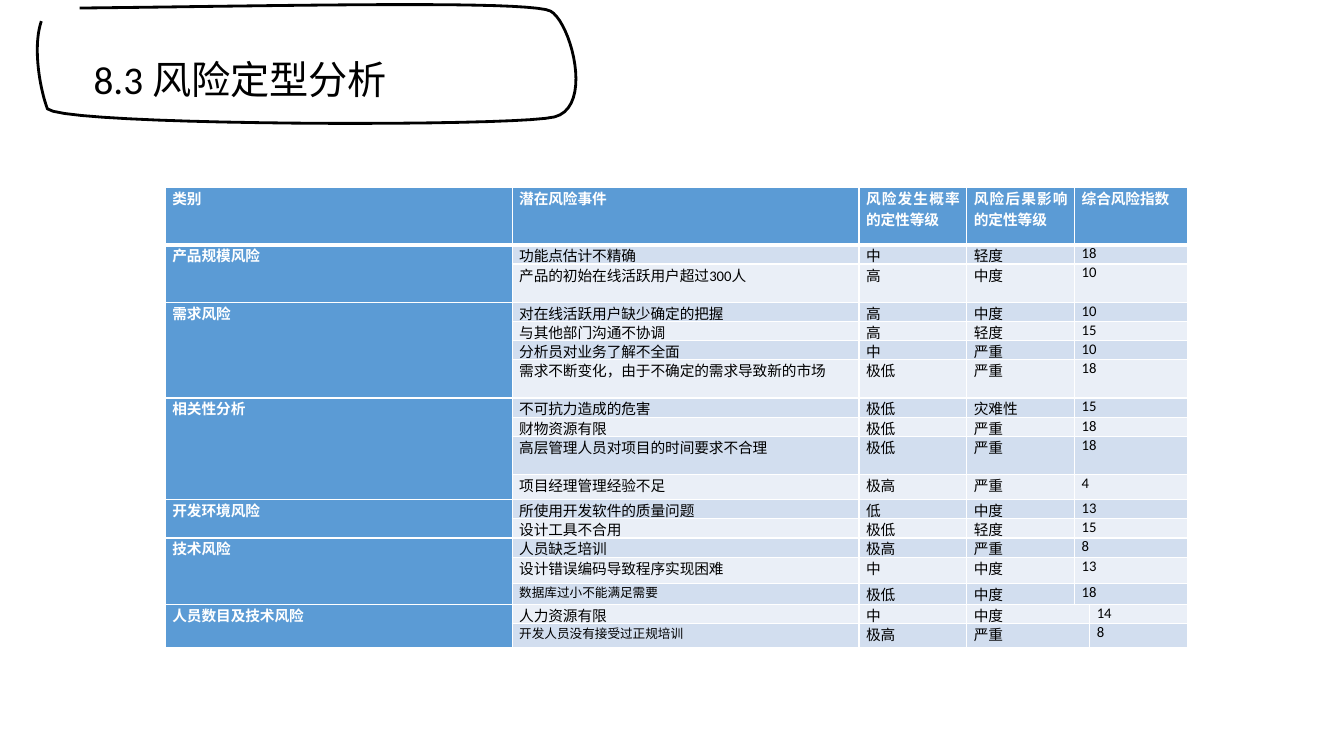
from lxml import etree
from pptx import Presentation
from pptx.dml.color import RGBColor
from pptx.enum.text import PP_ALIGN
from pptx.oxml.ns import qn
from pptx.util import Inches, Pt

JUSTIFY = PP_ALIGN.JUSTIFY
FONT = "Calibri"
COLORS = {
    "white": "FFFFFF",
    "black": "000000",
    "header": "5B9BD5",
    "odd_row": "D2DEEF",
    "even_row": "EAEFF7",
}
CURVE_STEPS = 20
FRAME_START = (0.79, 0.08)
FRAME_CURVES = [
    ((2.69, 0.06), (5.25, 0), (5.46, 0.11)),
    ((5.66, 0.22), (5.89, 1.06), (5.5, 1.16)),
    ((5.1, 1.26), (0.64, 1.25), (0.47, 1.08)),
    ((0.38, 0.83), (0.33, 0.44), (0.41, 0.21)),
]
COLUMN_WIDTHS = [3.44, 3.44, 1.07, 1.07, 0.15, 0.97]
ROW_HEIGHTS = [0.57, 0.19, 0.38, 0.19, 0.19, 0.19, 0.38, 0.19, 0.19,
               0.38, 0.25, 0.19, 0.19, 0.19, 0.26, 0.21, 0.19, 0.24]
HEADINGS = ["类别", "潜在风险事件", "风险发生概率的定性等级",
            "风险后果影响的定性等级", "综合风险指数"]
BODY_SIZE = 10.5
SMALL_SIZE = 9
SMALL_EVENTS = {"数据库过小不能满足需要", "开发人员没有接受过正规培训"}
STAFF_CATEGORY = "人员数目及技术风险"
RISKS = {
    "产品规模风险": [
        ("功能点估计不精确", "中", "轻度", "18"),
        ("产品的初始在线活跃用户超过300人", "高", "中度", "10"),
    ],
    "需求风险": [
        ("对在线活跃用户缺少确定的把握", "高", "中度", "10"),
        ("与其他部门沟通不协调", "高", "轻度", "15"),
        ("分析员对业务了解不全面", "中", "严重", "10"),
        ("需求不断变化，由于不确定的需求导致新的市场", "极低", "严重", "18"),
    ],
    "相关性分析": [
        ("不可抗力造成的危害", "极低", "灾难性", "15"),
        ("财物资源有限", "极低", "严重", "18"),
        ("高层管理人员对项目的时间要求不合理", "极低", "严重", "18"),
        ("项目经理管理经验不足", "极高", "严重", "4"),
    ],
    "开发环境风险": [
        ("所使用开发软件的质量问题", "低", "中度", "13"),
        ("设计工具不合用", "极低", "轻度", "15"),
    ],
    "技术风险": [
        ("人员缺乏培训", "极高", "严重", "8"),
        ("设计错误编码导致程序实现困难", "中", "中度", "13"),
        ("数据库过小不能满足需要", "极低", "中度", "18"),
    ],
    STAFF_CATEGORY: [
        ("人力资源有限", "中", "中度", "14"),
        ("开发人员没有接受过正规培训", "极高", "严重", "8"),
    ],
}


def color(name):
    return RGBColor.from_string(COLORS[name])


def add_span(para, text, size, color_name, bold=False):
    span = para.add_run()
    span.text = text
    span.font.name = FONT
    span.font.size = Pt(size)
    span.font.bold = bold
    span.font.color.rgb = color(color_name)


def curve_points(start, curves):
    """Return points along a chain of cubic Bezier curves."""
    points = []
    for first, second, end in curves:
        for step in range(1, CURVE_STEPS + 1):
            t = step / CURVE_STEPS
            u = 1 - t
            points.append(tuple(
                Inches(u**3 * a + 3 * u * u * t * b + 3 * u * t * t * c + t**3 * d)
                for a, b, c, d in zip(start, first, second, end)))
        start = end
    return points


def add_title_frame(slide):
    left, top = FRAME_START
    builder = slide.shapes.build_freeform(Inches(left), Inches(top))
    builder.add_line_segments(curve_points(FRAME_START, FRAME_CURVES), close=False)
    frame = builder.convert_to_shape()
    frame.shadow.inherit = False
    frame.fill.solid()
    frame.fill.fore_color.rgb = color("white")
    frame.line.color.rgb = color("black")
    frame.line.width = Pt(2)


def add_title(slide, text):
    box = slide.shapes.add_textbox(Inches(0.83), Inches(0.05), Inches(4.35), Inches(1.99))
    box.text_frame.word_wrap = True
    box.text_frame.margin_top = Inches(0.5)
    add_span(box.text_frame.paragraphs[0], text, 28, "black")


def set_borders(cell, top=1, bottom=1):
    properties = cell._tc.get_or_add_tcPr()
    widths = {"a:lnL": 1, "a:lnR": 1, "a:lnT": top, "a:lnB": bottom}
    for index, (tag, width) in enumerate(widths.items()):
        line = etree.Element(qn(tag), w=str(Pt(width)))
        fill = etree.SubElement(line, qn("a:solidFill"))
        etree.SubElement(fill, qn("a:srgbClr"), val=COLORS["white"])
        properties.insert(index, line)


def style_cell(cell, row, column):
    cell.margin_left = cell.margin_right = Inches(0.07)
    cell.margin_top = cell.margin_bottom = 0
    shade = "odd_row" if row % 2 else "even_row"
    cell.fill.solid()
    cell.fill.fore_color.rgb = color("header" if row == 0 or column == 0 else shade)
    set_borders(cell, top=3 if row == 1 else 1, bottom=3 if row == 0 else 1)


def write_cell(cell, text, heading=False):
    para = cell.text_frame.paragraphs[0]
    para.alignment = JUSTIFY
    size = SMALL_SIZE if text in SMALL_EVENTS else BODY_SIZE
    add_span(para, text, size, "white" if heading else "black", heading)


def add_risk_table(slide):
    frame = slide.shapes.add_table(
        len(ROW_HEIGHTS), len(COLUMN_WIDTHS), Inches(1.64), Inches(1.86),
        Inches(sum(COLUMN_WIDTHS)), Inches(sum(ROW_HEIGHTS)))
    table = frame.table
    for column, width in zip(table.columns, COLUMN_WIDTHS):
        column.width = Inches(width)
    for row, height in enumerate(ROW_HEIGHTS):
        table.rows[row].height = Inches(height)
        for column in range(len(COLUMN_WIDTHS)):
            style_cell(table.cell(row, column), row, column)

    table.cell(0, 4).merge(table.cell(0, 5))
    for column, heading in enumerate(HEADINGS):
        write_cell(table.cell(0, column), heading, heading=True)
    row = 1
    for category, events in RISKS.items():
        table.cell(row, 0).merge(table.cell(row + len(events) - 1, 0))
        write_cell(table.cell(row, 0), category, heading=True)
        wide, score = (3, 5) if category == STAFF_CATEGORY else (4, 4)
        for event in events:
            table.cell(row, wide).merge(table.cell(row, wide + 1))
            for column, text in zip((1, 2, 3, score), event):
                write_cell(table.cell(row, column), text)
            row += 1


def main():
    deck = Presentation()
    deck.slide_width = Inches(13.33)
    deck.slide_height = Inches(7.5)
    page = deck.slides.add_slide(deck.slide_layouts[6])
    add_title_frame(page)
    add_title(page, "8.3 风险定型分析")
    add_risk_table(page)
    deck.save("out.pptx")


if __name__ == "__main__":
    main()
